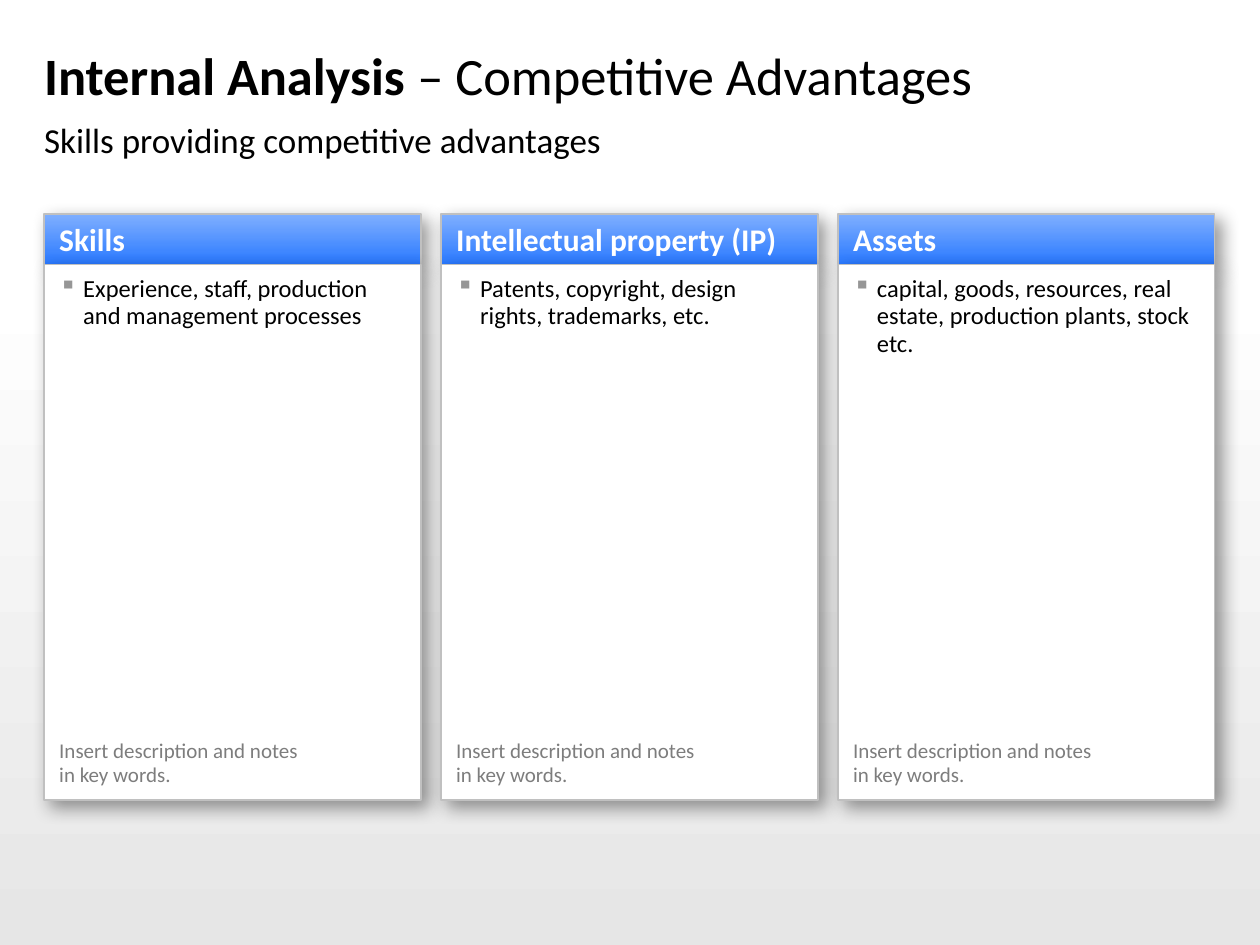
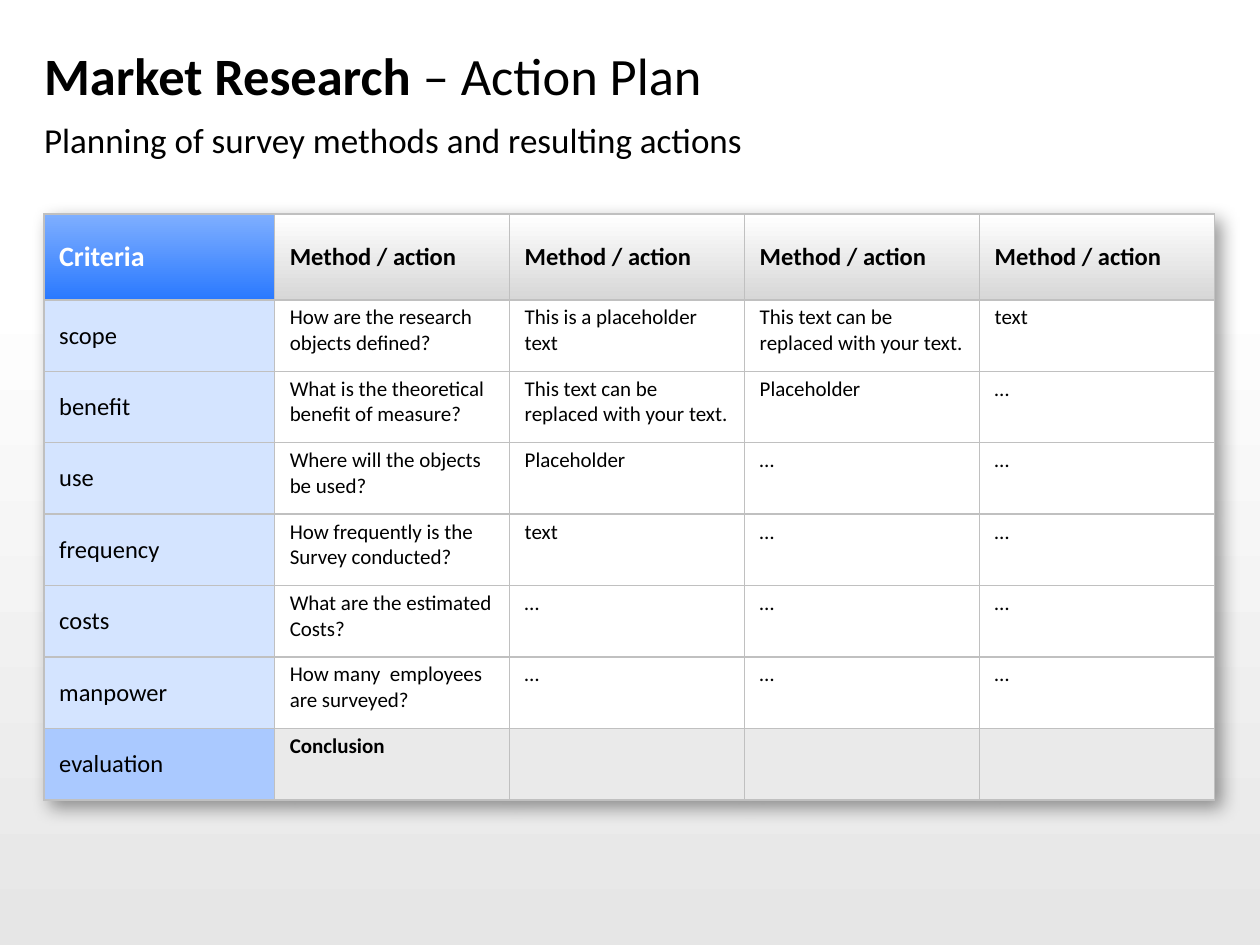
"""Build two planning slides: competitive advantages and a market research action plan."""
from lxml import etree
from pptx import Presentation
from pptx.dml.color import RGBColor
from pptx.enum.shapes import MSO_SHAPE
from pptx.enum.text import MSO_ANCHOR, PP_ALIGN
from pptx.oxml import parse_xml
from pptx.oxml.ns import qn
from pptx.util import Inches, Pt

RECT = MSO_SHAPE.RECTANGLE
TOP, MIDDLE, BOTTOM = MSO_ANCHOR.TOP, MSO_ANCHOR.MIDDLE, MSO_ANCHOR.BOTTOM
LEFT = PP_ALIGN.LEFT
FONT = "Calibri"
NS = 'xmlns:a="http://schemas.openxmlformats.org/drawingml/2006/main"'
C = {
    "black": "000000", "white": "FFFFFF", "line": "C0C0C0", "note": "7D7D7D",
    "bullet": "969696", "blue_top": "7FAFFF", "blue_end": "2A79FF",
    "grey_end": "D7D7D7", "page_end": "E6E6E6", "label": "D4E4FF",
    "label_last": "AAC9FF", "row_last": "EAEAEA",
}
SHADOW = (f'<a:outerShdw {NS} blurRad="{Pt(10)}" dist="{Pt(5)}" dir="2700000" algn="tl" '
          'rotWithShape="0"><a:srgbClr val="000000"><a:alpha val="40000"/></a:srgbClr></a:outerShdw>')

W, H = 10, 7.5
X, Y = 0.35, 1.7
CONTENT_W, CONTENT_H = 9.29, 4.65
GAP, HEAD_H = 0.16, 0.4
CARD_W = (CONTENT_W - 2 * GAP) / 3

HEADINGS = [
    ("Internal Analysis ", "– Competitive Advantages", "Skills providing competitive advantages"),
    ("Market Research ", "– Action Plan", "Planning of survey methods and resulting actions"),
]
CARDS = [
    ("Skills", "Experience, staff, production and management processes", 0.12),
    ("Intellectual property (IP)", "Patents, copyright, design rights, trademarks, etc.", 0.2),
    ("Assets", "capital, goods, resources, real estate, production plants, stock etc.", 0.12),
]
NOTE = "Insert description and notes\nin key words."
REPLACE = "This text can be replaced with your text."
ROWS = [
    ["Criteria"] + ["Method / action"] * 4,
    ["scope", "How are the research objects defined?", "This is a placeholder text", REPLACE, "text"],
    ["benefit", "What is the theoretical benefit of measure?", REPLACE, "Placeholder", "…"],
    ["use", "Where will the objects be used?", "Placeholder", "…", "…"],
    ["frequency", "How frequently is the\nSurvey conducted?", "text", "…", "…"],
    ["costs", "What are the estimated\nCosts?", "…", "…", "…"],
    ["manpower", "How many  employees  are surveyed?", "…", "…", "…"],
    ["evaluation", "Conclusion", "", "", ""],
]
COL_W = [1.83] + [(CONTENT_W - 1.83) / 4] * 4
ROW_H = [0.68] + [(CONTENT_H - 0.68) / 7] * 7


def write(box, tf, text, size, color="black", bold=False, anchor=TOP, ins=(0, 0, 0, 0)):
    """Put text into a frame or a cell; box carries the margins and the anchor."""
    box.margin_left, box.margin_top, box.margin_right, box.margin_bottom = map(Inches, ins)
    box.vertical_anchor = anchor
    tf.word_wrap = True
    tf.text = text
    for p in tf.paragraphs:
        p.alignment = LEFT
        p.font.name, p.font.size, p.font.bold = FONT, Pt(size), bold
        p.font.color.rgb = RGBColor.from_string(C[color])


def paint(fill, first, last=None, angle=270):
    """Fill with one colour, or with a gradient from first to last."""
    if last is None:
        fill.solid()
        fill.fore_color.rgb = RGBColor.from_string(C[first])
        return
    fill.gradient()
    fill.gradient_angle = angle
    for stop, name in zip(fill.gradient_stops, (first, last)):
        stop.color.rgb = RGBColor.from_string(C[name])


prs = Presentation()
prs.slide_width, prs.slide_height = Inches(W), Inches(H)

for strong, light, subtitle in HEADINGS:
    s = prs.slides.add_slide(prs.slide_layouts[6])
    band = s.shapes.add_shape(RECT, 0, Inches(2.21), Inches(W), Inches(H - 2.21))
    band.shadow.inherit = False
    band.line.fill.background()
    paint(band.fill, "page_end", "white", 90)

    tf = s.shapes.add_textbox(Inches(X), Inches(0.26), Inches(CONTENT_W), Inches(0.67)).text_frame
    write(tf, tf, strong, 30, anchor=MIDDLE)
    p = tf.paragraphs[0]
    p.runs[0].font.bold = True
    p.add_run().text = light

    tf = s.shapes.add_textbox(Inches(X), Inches(0.94), Inches(CONTENT_W), Inches(0.37)).text_frame
    write(tf, tf, subtitle, 20)
    tf.paragraphs[0].space_before = Pt(4.3)

s = prs.slides[0]
for i, (heading, body, right) in enumerate(CARDS):
    x = Inches(X + i * (CARD_W + GAP))
    head = s.shapes.add_shape(RECT, x, Inches(Y), Inches(CARD_W), Inches(HEAD_H))
    card = s.shapes.add_shape(RECT, x, Inches(Y + HEAD_H), Inches(CARD_W), Inches(CONTENT_H - HEAD_H))
    paint(head.fill, "blue_top", "blue_end")
    paint(card.fill, "white")
    for sp in (head, card):
        sp.line.color.rgb = RGBColor.from_string(C["line"])
        sp.line.width = Pt(1)
        sp.shadow.inherit = False
        sp._element.spPr.find(qn("a:effectLst")).append(parse_xml(SHADOW))
    write(head.text_frame, head.text_frame, heading, 18, "white", True, MIDDLE, (0.12, 0, 0.12, 0))

    write(card.text_frame, card.text_frame, body, 14, ins=(0.12, 0.08, right, 0.08))
    p = card.text_frame.paragraphs[0]
    p.line_spacing = 0.95
    pPr = p._p.get_or_add_pPr()
    pPr.set("marL", str(Inches(0.19)))
    pPr.set("indent", str(-Inches(0.19)))
    bullet = [parse_xml(f'<a:buClr {NS}><a:srgbClr val="{C["bullet"]}"/></a:buClr>'),
              parse_xml(f'<a:buChar {NS} char="▪"/>')]
    for el in bullet:
        pPr.find(qn("a:defRPr")).addprevious(el)

    tf = s.shapes.add_textbox(x, Inches(Y + CONTENT_H - 0.6), Inches(CARD_W), Inches(0.6)).text_frame
    write(tf, tf, NOTE, 12, "note", anchor=BOTTOM, ins=(0.12, 0, 0.12, 0.1))
    for p in tf.paragraphs:
        p.line_spacing = 0.95

s = prs.slides[1]
table = s.shapes.add_table(len(ROWS), len(COL_W), Inches(X), Inches(Y),
                           Inches(CONTENT_W), Inches(CONTENT_H)).table
table.first_row = table.horz_banding = False
effects = etree.Element(qn("a:effectLst"))
effects.append(parse_xml(SHADOW))
table._tbl.tblPr.insert(0, effects)
for column, width in zip(table.columns, COL_W):
    column.width = Inches(width)
for row, height in zip(table.rows, ROW_H):
    row.height = Inches(height)

for r, texts in enumerate(ROWS):
    last = r == len(ROWS) - 1
    for c, text in enumerate(texts):
        cell = table.cell(r, c)
        tcPr = cell._tc.get_or_add_tcPr()
        for side in ("lnL", "lnR", "lnT", "lnB"):
            tcPr.append(parse_xml(f'<a:{side} {NS} w="{Pt(1)}"><a:solidFill>'
                                  f'<a:srgbClr val="{C["line"]}"/></a:solidFill></a:{side}>'))
        if r == 0:
            size, color = (16, "white") if c == 0 else (14, "black")
            fill = ("blue_top", "blue_end") if c == 0 else ("white", "grey_end")
        elif c == 0:
            size, color = 14, "black"
            fill = ("label_last",) if last else ("label",)
        else:
            size, color = 12, "black"
            fill = ("row_last",) if last else ("white",)
        paint(cell.fill, *fill)
        write(cell, cell.text_frame, text, size, color, r == 0 or (last and c > 0),
              MIDDLE if r == 0 or c == 0 else TOP, (0.12, 0.04, 0.08, 0.04))

prs.save("out.pptx")
